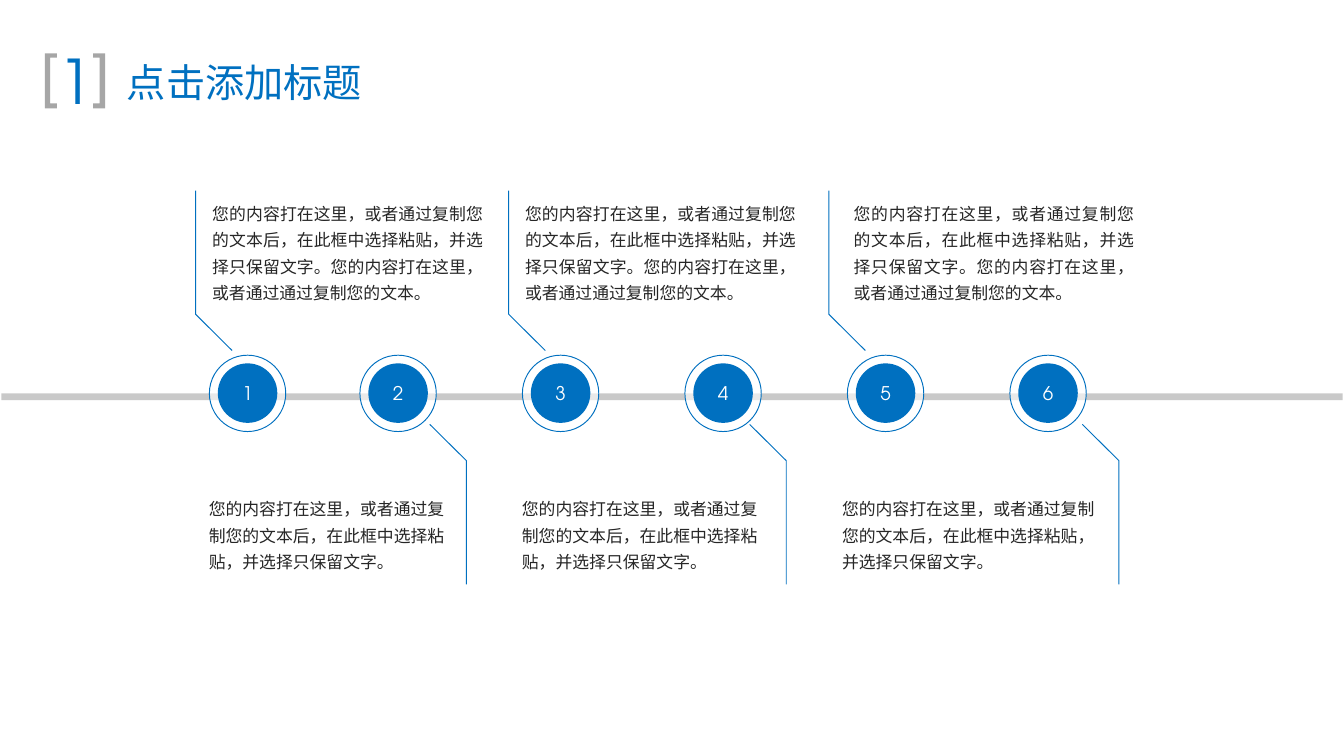
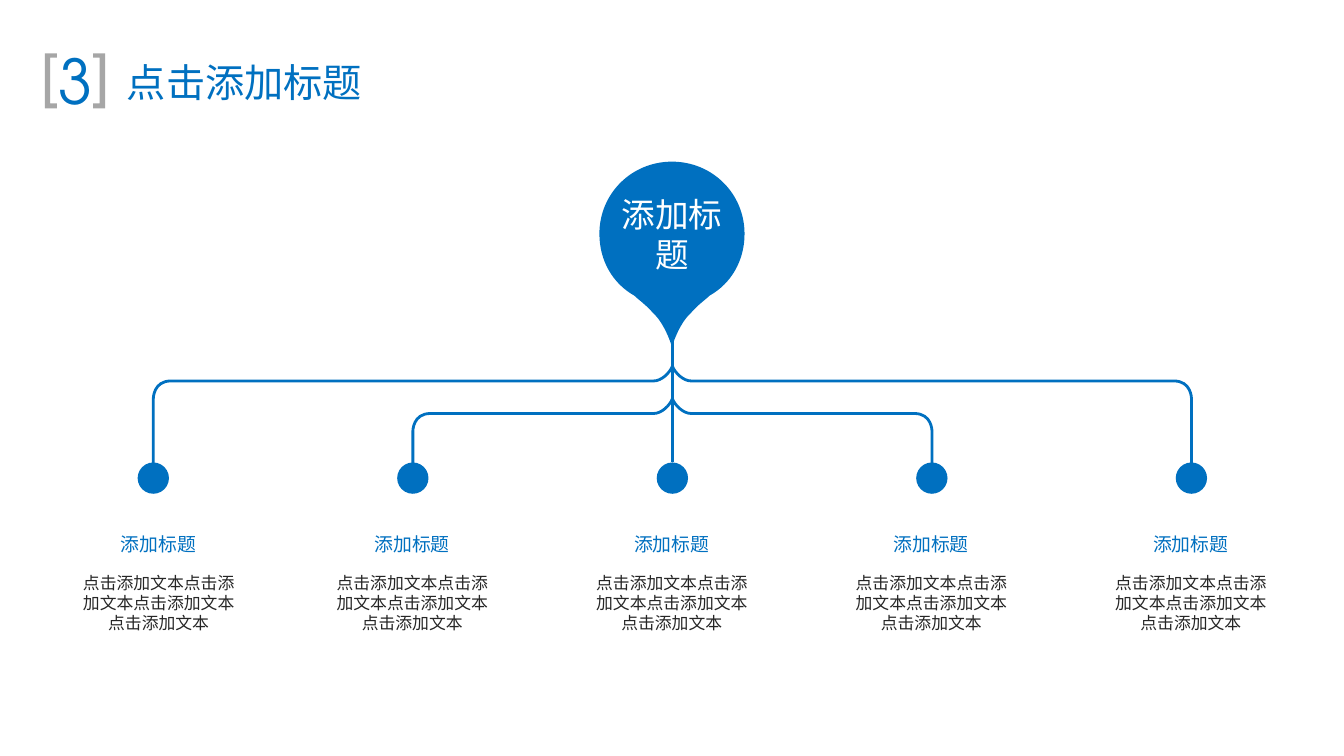
from lxml import etree
from pptx import Presentation
from pptx.dml.color import RGBColor
from pptx.enum.shapes import MSO_CONNECTOR, MSO_SHAPE
from pptx.enum.text import MSO_ANCHOR, PP_ALIGN
from pptx.oxml.ns import qn
from pptx.util import Inches, Pt

OVAL, RECT = MSO_SHAPE.OVAL, MSO_SHAPE.RECTANGLE
STRAIGHT = MSO_CONNECTOR.STRAIGHT
TOP, MIDDLE = MSO_ANCHOR.TOP, MSO_ANCHOR.MIDDLE
LEFT, CENTER, JUSTIFY = PP_ALIGN.LEFT, PP_ALIGN.CENTER, PP_ALIGN.JUSTIFY

BLUE = RGBColor(0x00, 0x70, 0xC0)
GRAY = RGBColor(0xA6, 0xA6, 0xA6)
DARK = RGBColor(0x26, 0x26, 0x26)
WHITE = RGBColor(0xFF, 0xFF, 0xFF)
LATIN, HAN = "TeX Gyre Adventor", "Noto Sans CJK SC"

# Grid: 100 square columns across the slide
WIDTH = Inches(10)
HEIGHT = WIDTH * 9 // 16
UNIT = WIDTH // 100
MID = 50.03


def grid(*cells):
    return [round(cell * UNIT) for cell in cells]


# Text formats
def style(size, color, name=HAN, align=CENTER, anchor=TOP, space=1.0,
          wrap=True, **pads):
    frame = {"word_wrap": wrap, "vertical_anchor": anchor}
    for side, pad in pads.items():
        frame["margin_" + side] = grid(pad)[0]
    return {"frame": frame,
            "para": {"alignment": align, "line_spacing": space},
            "font": {"name": name, "size": Pt(size)},
            "color": color}


TITLE = style(21, BLUE, LATIN, anchor=MIDDLE, wrap=False)
NUMBER = style(33, BLUE, LATIN, anchor=MIDDLE, wrap=False, top=0.4)
STEP = style(10.1, WHITE, LATIN, anchor=MIDDLE, wrap=False,
             left=0, right=0, top=0, bottom=0)
ABOVE = style(9, DARK, align=JUSTIFY, space=1.3)
BELOW = style(9, DARK, align=LEFT, space=1.3)
PIN = style(18, WHITE, LATIN, left=0.7, right=0.7, top=2.4, bottom=0.4)
LABEL = style(10.1, BLUE, anchor=MIDDLE, space=1.5)
NOTE = style(9, DARK)

# Wording
HEAD = "点击添加标题"
TOPIC = "添加标题"
SHORT = "您的内容打在这里，或者通过复制您的文本后，在此框中选择粘贴，并选择只保留文字。"
LONG = SHORT + "您的内容打在这里，或者通过通过复制您的文本。"
HINT = "点击添加文本" * 4


def apply(target, values):
    for name, value in values.items():
        setattr(target, name, value)


def write(shape, text, form):
    frame = shape.text_frame
    apply(frame, form["frame"])
    para = frame.paragraphs[0]
    apply(para, form["para"])
    run = para.add_run()
    run.text = text
    apply(run.font, form["font"])
    run.font.color.rgb = form["color"]
    etree.SubElement(run._r.get_or_add_rPr(), qn("a:ea"), typeface=HAN)


def label(slide, box, text, form):
    write(slide.shapes.add_textbox(*grid(*box)), text, form)


def paint(shape, fill=None, line=None, width=0.5, alpha=None):
    shape.shadow.inherit = False
    if fill is None:
        shape.fill.background()
    else:
        shape.fill.solid()
        shape.fill.fore_color.rgb = fill
    if alpha is not None:
        color = shape.fill._xPr.find(".//" + qn("a:srgbClr"))
        etree.SubElement(color, qn("a:alpha"), val=str(alpha * 1000))
    if line is None:
        shape.line.fill.background()
    else:
        shape.line.color.rgb = line
        shape.line.width = Pt(width)
    return shape


def disc(slide, x, y, size, **look):
    box = grid(x - size / 2, y - size / 2, size, size)
    return paint(slide.shapes.add_shape(OVAL, *box), **look)


def trace(slide, points, close=False, **look):
    first, *rest = [grid(*point) for point in points]
    build = slide.shapes.build_freeform(*first)
    build.add_line_segments(rest, close=close)
    return paint(build.convert_to_shape(), **look)


def bend(shape):
    """Turn each three line segments into one cubic curve."""
    path = shape._element.find(".//" + qn("a:path"))
    lines = path.findall(qn("a:lnTo"))
    for a, b, c in zip(lines[::3], lines[1::3], lines[2::3]):
        cubic = etree.Element(qn("a:cubicBezTo"))
        path.replace(a, cubic)
        cubic.extend([a[0], b[0], c[0]])
        path.remove(b)
        path.remove(c)
    return shape


# Shared heading
def bracket(slide, x, way):
    inner, tip = x + way * 0.4, x + way * 0.9
    points = [(x, 3.97), (tip, 3.97), (tip, 4.3), (inner, 4.3),
              (inner, 7.7), (tip, 7.7), (tip, 8.07), (x, 8.07)]
    trace(slide, points, close=True, fill=GRAY)


def start(deck, number):
    slide = deck.slides.add_slide(deck.slide_layouts[5])
    title = slide.shapes.title
    title.left, title.top, title.width, title.height = grid(
        8.35, 3.85, 19.7, 4.5)
    write(title, HEAD, TITLE)
    label(slide, (3.3, 2.8, 4.7, 6.4), number, NUMBER)
    bracket(slide, 3.33, 1)
    bracket(slide, 7.82, -1)
    return slide


# Timeline parts
def leader(slide, x, side):
    axis = 28.83
    points = [(x, axis + side * 14.65), (x, axis + side * 5.45),
              (x - side * 2.72, axis + side * 2.75)]
    trace(slide, points, line=BLUE)


def step(slide, x, text):
    disc(slide, x, 29.27, 5.68, fill=WHITE, alpha=60, line=BLUE)
    write(disc(slide, x, 29.25, 4.43, fill=BLUE), text, STEP)


def timeline(deck):
    slide = start(deck, "1")
    bar = slide.shapes.add_shape(RECT, *grid(0.1, 29.27, 99.8, 0.5))
    paint(bar, fill=GRAY, alpha=60)
    for i, x in enumerate([18.42] + [29.62 + 12.09 * k for k in range(5)], 1):
        step(slide, x, str(i))
    # Upper leader, upper text and width, lower leader, lower width
    for up, left, wide, down, slim in [(14.55, 14.8, 22.1, 34.7, 20.2),
                                       (37.85, 38.08, 22.1, 58.5, 19.9),
                                       (61.67, 62.53, 22.8, 83.25, 21.1)]:
        leader(slide, up, -1)
        label(slide, (left, 14.22, wide, 8.9), LONG, ABOVE)
        leader(slide, down, 1)
        label(slide, (up, 36.2, slim, 6.9), SHORT, BELOW)


# Tree parts
def branch(slide, x, level):
    way = 1 if x < MID else -1
    low, near = (x, level + 1.3), (MID - way * 1.4, level)
    points = [(x, 34.5), low, low, low,
              low, (x, level), (x + way * 1.3, level),
              near, near, near,
              (MID - way * 0.8, level), (MID - way * 0.2, level - 0.6),
              (MID, level - 1.1)]
    bend(trace(slide, points, line=BLUE, width=1.5))


def pin(slide):
    half = [(50, 12.03), (53, 12.03), (55.4, 14.4), (55.4, 17.4),
            (55.4, 19.4), (54.4, 21.1), (52.8, 22),
            (52.5, 22.3), (51.9, 22.7), (51.4, 23.3),
            (50.5, 24.1), (50, 25.8), (50, 25.8)]
    back = [(100 - x, y) for x, y in half[-2::-1]]
    drop = bend(trace(slide, half + back, close=True, fill=BLUE))
    write(drop, TOPIC, PIN)


def stem(slide, dot):
    line = slide.shapes.add_connector(STRAIGHT, *grid(MID, 25, MID, 34.4))
    line.end_connect(dot, 0)
    line.line.color.rgb = BLUE
    line.line.width = Pt(1.5)
    etree.SubElement(line._element.spPr, qn("a:effectLst"))


def tree(deck):
    slide = start(deck, "3")
    for k, level in zip(range(-2, 3), (28.35, 30.77, None, 30.77, 28.35)):
        x = MID + 19.31 * k
        dot = disc(slide, x, 35.58, 2.33, fill=BLUE)
        if level is None:
            stem(slide, dot)
        else:
            branch(slide, x, level)
        left = 5.1 if k == -2 else x - 6.75
        label(slide, (left, 38.25, 13.4, 3.6), TOPIC, LABEL)
        label(slide, (left, 42.12, 13.4, 5.6), HINT, NOTE)
    pin(slide)


def main():
    deck = Presentation()
    deck.slide_width, deck.slide_height = WIDTH, HEIGHT
    timeline(deck)
    tree(deck)
    deck.save("out.pptx")


if __name__ == "__main__":
    main()
